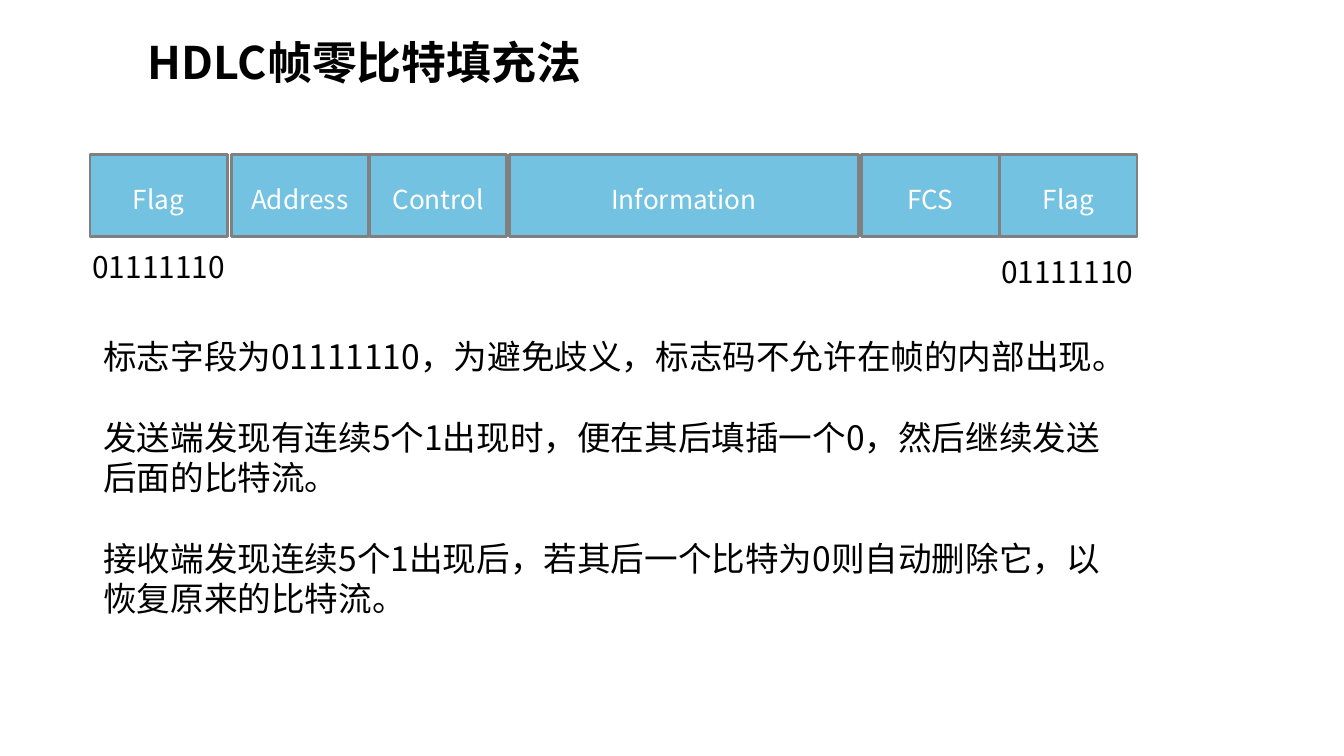
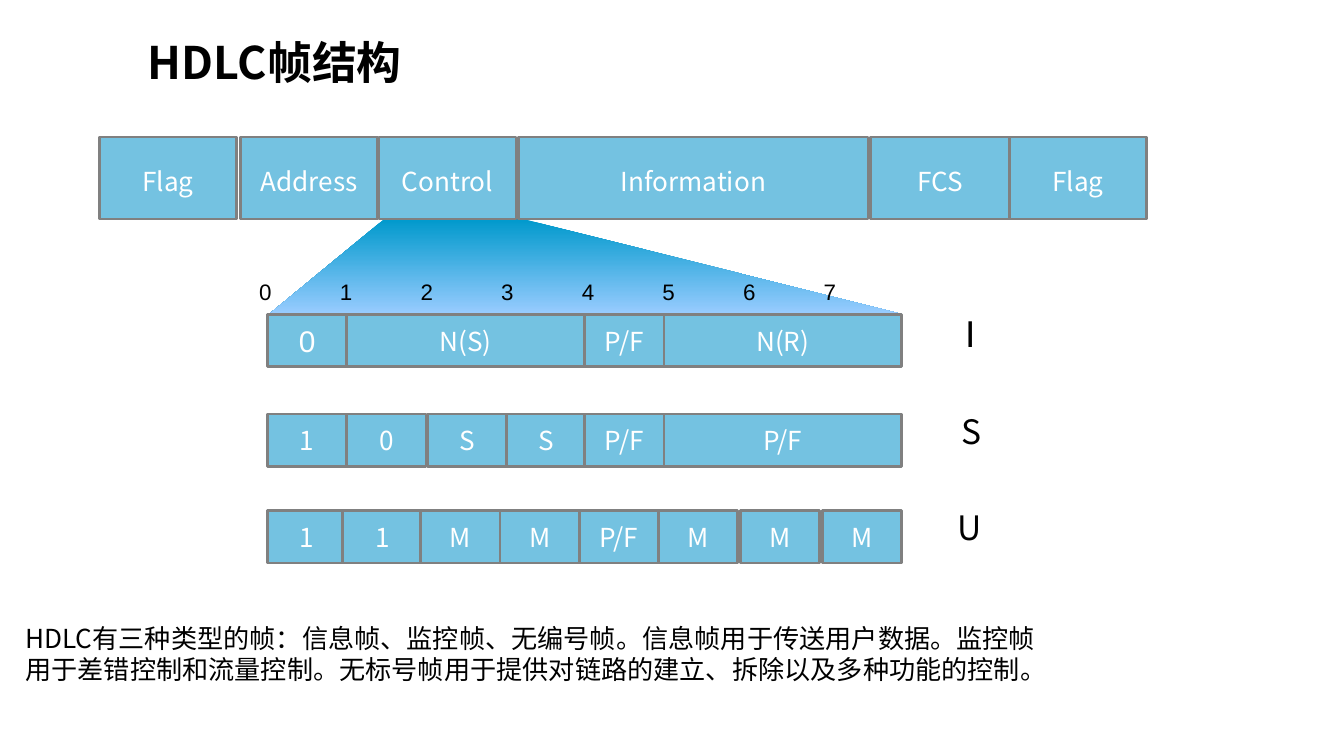
"""Build two slides on HDLC bit stuffing and frame structure."""
from lxml import etree
from pptx import Presentation
from pptx import util as u
from pptx.dml.color import RGBColor
from pptx.enum import shapes, text
from pptx.oxml.ns import qn

SANS, ARIAL = "Noto Sans CJK SC", "Arial"
BLACK, WHITE, BLUE, GRAY = "000000", "FFFFFF", "74C2E1", "808080"
LEFT, CENTER = text.PP_ALIGN.LEFT, text.PP_ALIGN.CENTER
TITLES = ["HDLC帧零比特填充法", "HDLC帧结构"]
FRAME_FIELDS = [
    ("Flag", 0, 1.02), ("Address", 1.05, 1.02), ("Control", 2.08, 1.02),
    ("Information", 3.12, 2.6), ("FCS", 5.74, 1.03), ("Flag", 6.77, 1.02),
]
FRAME_ORIGINS = [(0.67, 1.15), (0.74, 1.02)]
BIT = 0.59


def write(shape, lines, size, color=BLACK, font=SANS, align=LEFT, spacing=None,
          gap=0, tight=False, wrap=True):
    """Fill a shape with evenly formatted paragraphs."""
    frame = shape.text_frame
    frame.word_wrap = wrap
    if tight:
        frame.margin_top = 0
    frame.text = "\n".join(lines)
    for index, paragraph in enumerate(frame.paragraphs):
        paragraph.alignment = align
        if spacing:
            paragraph.line_spacing = spacing
        if index:
            paragraph.space_before = u.Pt(gap)
        paragraph.font.size = u.Pt(size)
        paragraph.font.color.rgb = RGBColor.from_string(color)
        paragraph.font.name = font
        properties = paragraph._p.pPr.find(qn("a:defRPr"))
        etree.SubElement(properties, qn("a:ea"), typeface=font)


def add_cell(slide, label, left, top, width, height, size=14, font=SANS, tight=False):
    """Add one bordered field of a frame."""
    cell = slide.shapes.add_shape(
        shapes.MSO_SHAPE.RECTANGLE, *map(u.Inches, (left, top, width, height)))
    cell.shadow.inherit = False
    cell.fill.solid()
    cell.fill.fore_color.rgb = RGBColor.from_string(BLUE)
    cell.line.color.rgb = RGBColor.from_string(GRAY)
    cell.line.width = u.Pt(1.5)
    cell.text_frame.vertical_anchor = text.MSO_ANCHOR.MIDDLE
    write(cell, [label], size, WHITE, font, CENTER, 1.2, tight=tight)


presentation = Presentation()
presentation.slide_width = u.Inches(10)
presentation.slide_height = u.Inches(10) * 9 // 16

slides = []
for heading in TITLES:
    slide = presentation.slides.add_slide(presentation.slide_layouts[5])
    title = slide.shapes.title
    title.left, title.top = u.Inches(1), u.Inches(0.21)
    title.width, title.height = u.Inches(5.33), u.Inches(0.5)
    title.text_frame.vertical_anchor = text.MSO_ANCHOR.MIDDLE
    title.text_frame.auto_size = text.MSO_AUTO_SIZE.NONE
    write(title, [heading], 24)
    title.text_frame.paragraphs[0].font.bold = True
    slides.append(slide)
stuffing, structure = slides

builder = structure.shapes.build_freeform(u.Inches(2.86), u.Inches(1.63))
builder.add_line_segments(
    [(u.Inches(x), u.Inches(y)) for x, y in [(3.89, 1.63), (6.72, 2.34), (2, 2.34)]])
wedge = builder.convert_to_shape()
wedge.shadow.inherit = False
wedge.line.fill.background()
wedge.fill.gradient()
wedge.fill.gradient_angle = 270
for stop, position, color in zip(wedge.fill.gradient_stops, (0, 1), ("0099CC", "99CCFF")):
    stop.position = position
    stop.color.rgb = RGBColor.from_string(color)

for slide, (origin, top) in zip(slides, FRAME_ORIGINS):
    for label, offset, width in FRAME_FIELDS:
        add_cell(slide, label, origin + offset, top, width, 0.61)

rules = stuffing.shapes.add_textbox(*map(u.Inches, (0.67, 2.45, 7.84, 2.22)))
write(rules, [
    "标志字段为01111110，为避免歧义，标志码不允许在帧的内部出现。",
    "发送端发现有连续5个1出现时，便在其后填插一个0，然后继续发送后面的比特流。",
    "接收端发现连续5个1出现后，若其后一个比特为0则自动删除它，以恢复原来的比特流。",
], 18, spacing=u.Pt(21.6), gap=21.6)

for left, top in [(0.59, 1.8), (7.35, 1.84)]:
    flag_bits = stuffing.shapes.add_textbox(*map(u.Inches, (left, top, 1.26, 0.37)))
    write(flag_bits, ["01111110"], 16)

control_rows = [
    (2.34, [("0", 1.99, 1), ("N(S)", 2.58, 3), ("P/F", 4.35, 1), ("N(R)", 4.94, 3)]),
    (3.08, [("1", 1.99, 1), ("0", 2.58, 1), ("S", 3.18, 1), ("S", 3.77, 1),
            ("P/F", 4.35, 1), ("P/F", 4.94, 3)]),
    (3.8, [("1", 1.99, 1), ("1", 2.55, 1), ("M", 3.13, 1), ("M", 3.72, 1),
           ("P/F", 4.31, 1), ("M", 4.9, 1), ("M", 5.51, 1), ("M", 6.12, 1)]),
]
for top, fields in control_rows:
    for label, left, bits in fields:
        size, font = (16, ARIAL) if (label, top) == ("0", 2.34) else (14, SANS)
        add_cell(structure, label, left, top, bits * BIT, 0.39, size, font, tight=True)

labels = [(str(bit), 1.83 + 0.6 * bit, 2.07, 0.29, 0.25, 12, ARIAL) for bit in range(8)]
labels += [
    ("I", 7.08, 2.31, 0.28, 0.39, 20, ARIAL),
    ("S", 7.05, 3.06, 0.35, 0.35, 18, SANS),
    ("U", 7.02, 3.77, 0.39, 0.35, 18, SANS),
]
for label, left, top, width, height, size, font in labels:
    box = structure.shapes.add_textbox(*map(u.Inches, (left, top, width, height)))
    write(box, [label], size, font=font, align=CENTER, tight=True, wrap=False)

summary = structure.shapes.add_textbox(*map(u.Inches, (0.09, 4.58, 7.84, 0.57)))
write(summary, [
    "HDLC有三种类型的帧：信息帧、监控帧、无编号帧。信息帧用于传送用户数据。"
    "监控帧用于差错控制和流量控制。无标号帧用于提供对链路的建立、拆除以及多种功能的控制。",
], 14, spacing=u.Pt(16.8))

presentation.save("out.pptx")
